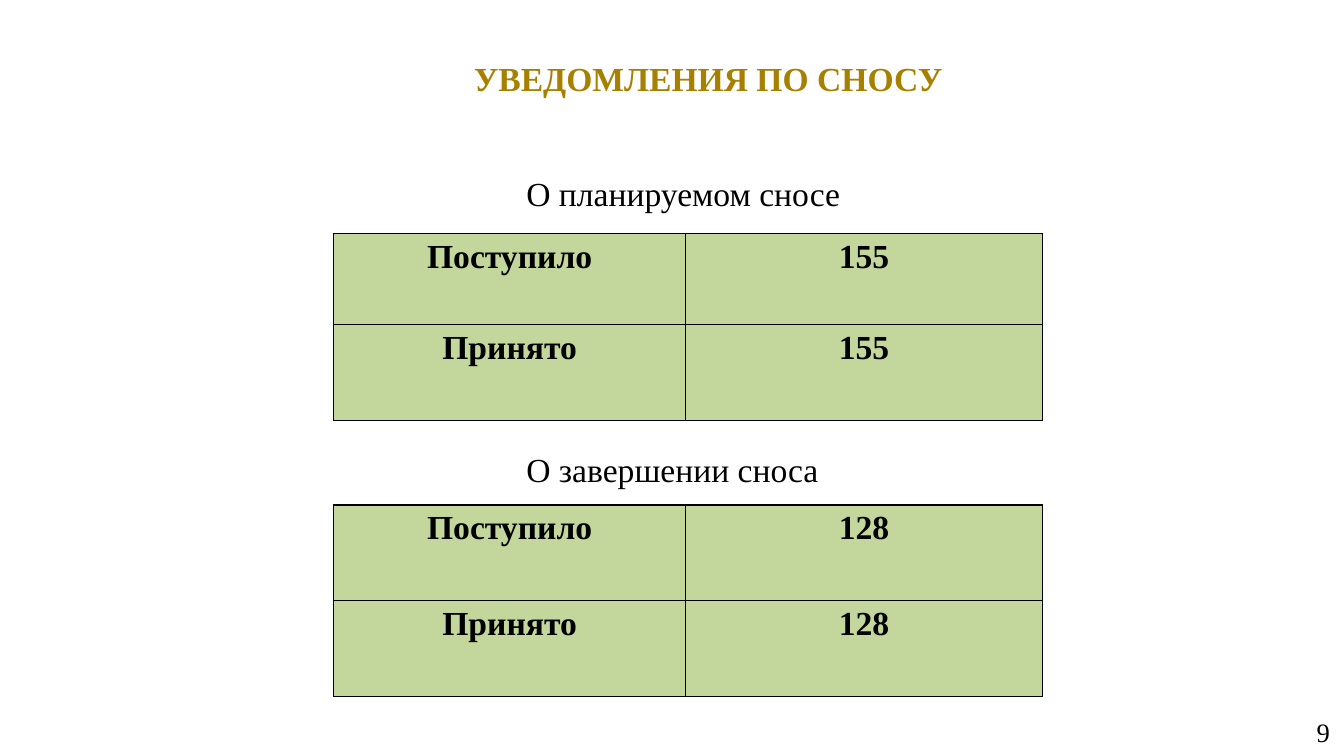
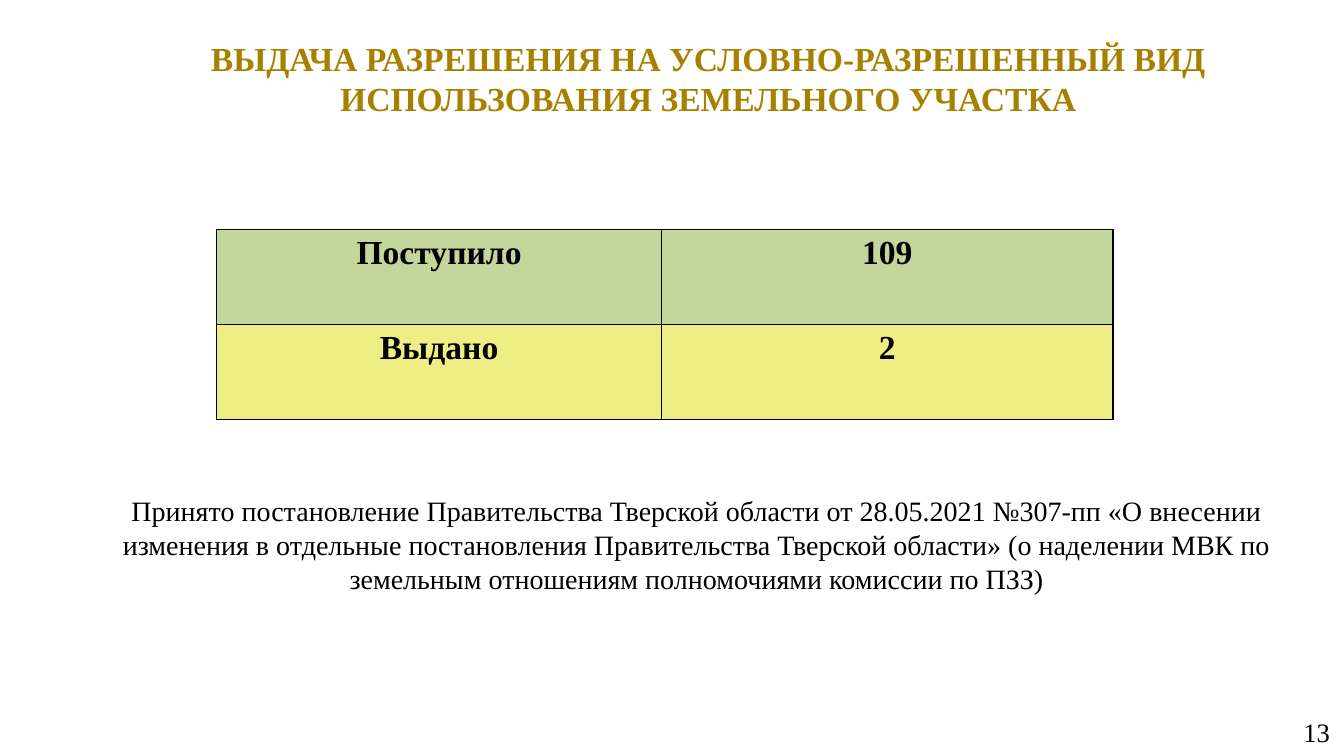
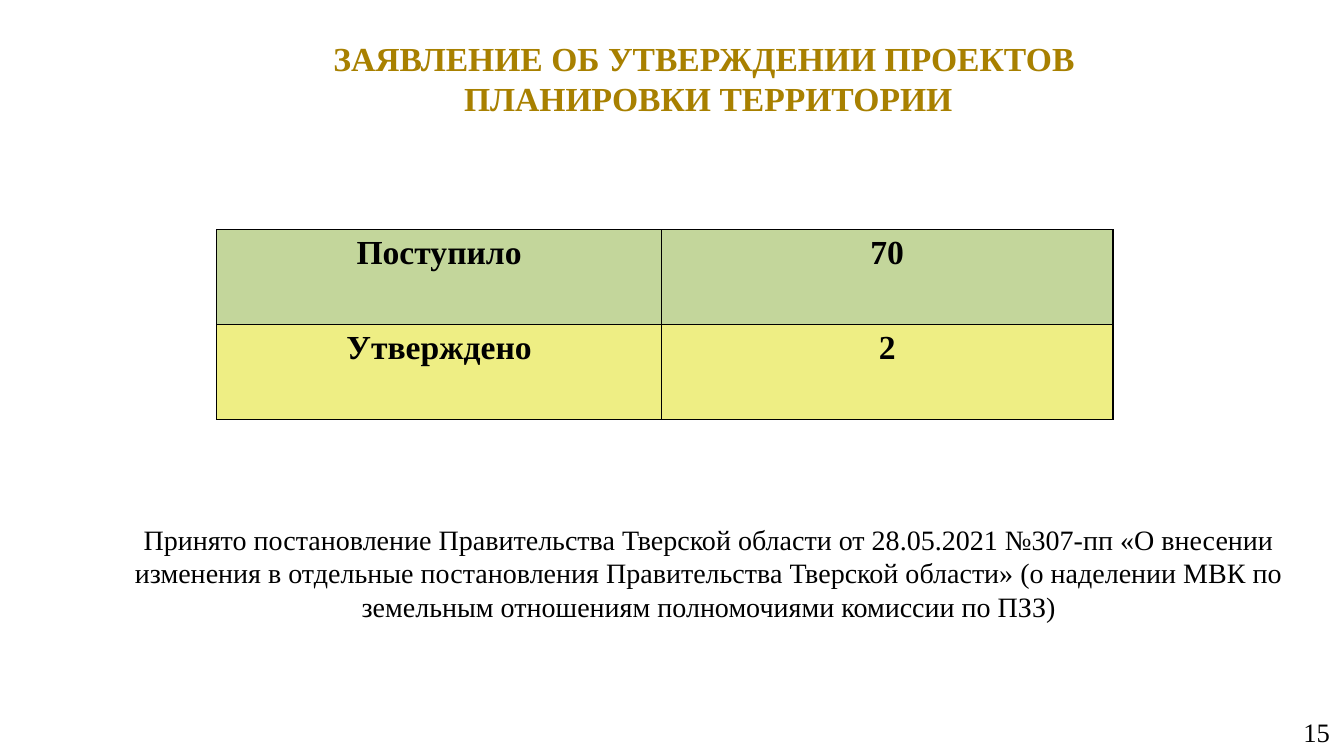
from pptx import Presentation
from pptx import util as u
from pptx.dml.color import RGBColor
from pptx.enum import text as t
from pptx.oxml import parse_xml
from pptx.oxml.ns import nsdecls

PX = 9144  # 100 px to the inch
FONT = "Times New Roman"
GOLD, BLACK, GREEN, YELLOW = "A88000", "000000", "C3D69B", "EEEE84"
LEFT, MID, RIGHT = t.PP_ALIGN.LEFT, t.PP_ALIGN.CENTER, t.PP_ALIGN.RIGHT
DECREE = (
    "Принято постановление Правительства Тверской области от 28.05.2021 "
    "№307-пп «О внесении изменения в отдельные постановления Правительства "
    "Тверской области» (о наделении МВК по земельным отношениям "
    "полномочиями комиссии по ПЗЗ)"
)


def px(n):
    return u.Emu(n * PX)


def rgb(code):
    return RGBColor.from_string(code)


def write(frame, lines, size, align=MID, color=BLACK, bold=False, pad=7):
    """Fill a text frame with one paragraph, broken where lines end."""
    frame.word_wrap = True
    frame.margin_left = frame.margin_right = px(13)
    frame.margin_top = frame.margin_bottom = px(pad)
    para = frame.paragraphs[0]
    para.alignment = align
    for i, line in enumerate(lines):
        if i:
            para.add_line_break()
        run = para.add_run()
        run.text = line
        font = run.font
        font.name, font.size, font.bold = FONT, u.Pt(size), bold
        font.color.rgb = rgb(color)


def label(slide, box, words, size, align, anchor=t.MSO_ANCHOR.MIDDLE):
    frame = slide.shapes.add_textbox(*map(px, box)).text_frame
    frame.vertical_anchor = anchor
    write(frame, [words], size, align)


def frame_cell(cell):
    """Draw a thin black border on all four sides."""
    props = cell._tc.get_or_add_tcPr()
    for i, side in enumerate(("lnL", "lnR", "lnT", "lnB")):
        props.insert(i, parse_xml(
            f'<a:{side} {nsdecls("a")} w="12192"><a:solidFill>'
            f'<a:srgbClr val="{BLACK}"/></a:solidFill></a:{side}>'))


def grid(slide, left, top, cols, rows, data, fills):
    box = left, top, sum(cols), sum(rows)
    table = slide.shapes.add_table(len(rows), len(cols), *map(px, box)).table
    for col, width in zip(table.columns, cols):
        col.width = px(width)
    for row, height, words, fill in zip(table.rows, rows, data, fills):
        row.height = px(height)
        for cell, word in zip(row.cells, words):
            cell.fill.solid()
            cell.fill.fore_color.rgb = rgb(fill)
            cell.margin_left = cell.margin_right = px(13)
            cell.margin_top = cell.margin_bottom = px(5)
            write(cell.text_frame, [word], 24, bold=True, pad=5)
            frame_cell(cell)


def base(deck, title, page):
    """Add a slide with its title and page number."""
    slide = deck.slides.add_slide(deck.slide_layouts[5])
    head = slide.shapes.title
    head.left, head.top, head.width, head.height = map(px, (131, 28, 1143, 99))
    head.text_frame.auto_size = t.MSO_AUTO_SIZE.NONE
    head.text_frame.vertical_anchor = t.MSO_ANCHOR.MIDDLE
    write(head.text_frame, title, 24, color=GOLD, bold=True)
    label(slide, (1022, 707, 310, 39), page, 19, RIGHT)
    return slide


def notice(slide, top, width, name, gap, rows, count):
    """Place a heading and, gap below its top, a table of equal counts."""
    label(slide, (509, top, width, 53), name, 24, LEFT, t.MSO_ANCHOR.TOP)
    data = ("Поступило", count), ("Принято", count)
    grid(slide, 331, top + gap, (349, 354), rows, data, (GREEN, GREEN))


def permit(deck, title, page, data, note):
    """Add a slide with one table and the decree in the note box."""
    slide = base(deck, title, page)
    grid(slide, 215, 228, (441, 448), (94, 94), data, (GREEN, YELLOW))
    label(slide, note, DECREE, 20, MID)


def main():
    deck = Presentation()
    deck.slide_width, deck.slide_height = px(1333), px(750)

    slide = base(deck, ["УВЕДОМЛЕНИЯ ПО СНОСУ"], "9")
    notice(slide, 165, 346, "О планируемом сносе", 67, (90, 95), "155")
    notice(slide, 438, 323, "О завершении сноса", 63, (95, 95), "128")

    permit(deck, ["ВЫДАЧА РАЗРЕШЕНИЯ НА УСЛОВНО-РАЗРЕШЕННЫЙ ВИД "
                  "ИСПОЛЬЗОВАНИЯ ЗЕМЕЛЬНОГО УЧАСТКА"], "13",
           (("Поступило", "109"), ("Выдано", "2")), (96, 472, 1190, 136))
    permit(deck, ["ЗАЯВЛЕНИЕ ОБ УТВЕРЖДЕНИИ ПРОЕКТОВ ",
                  "ПЛАНИРОВКИ ТЕРРИТОРИИ"], "15",
           (("Поступило", "70"), ("Утверждено", "2")), (108, 498, 1190, 140))

    deck.save("out.pptx")


if __name__ == "__main__":
    main()
